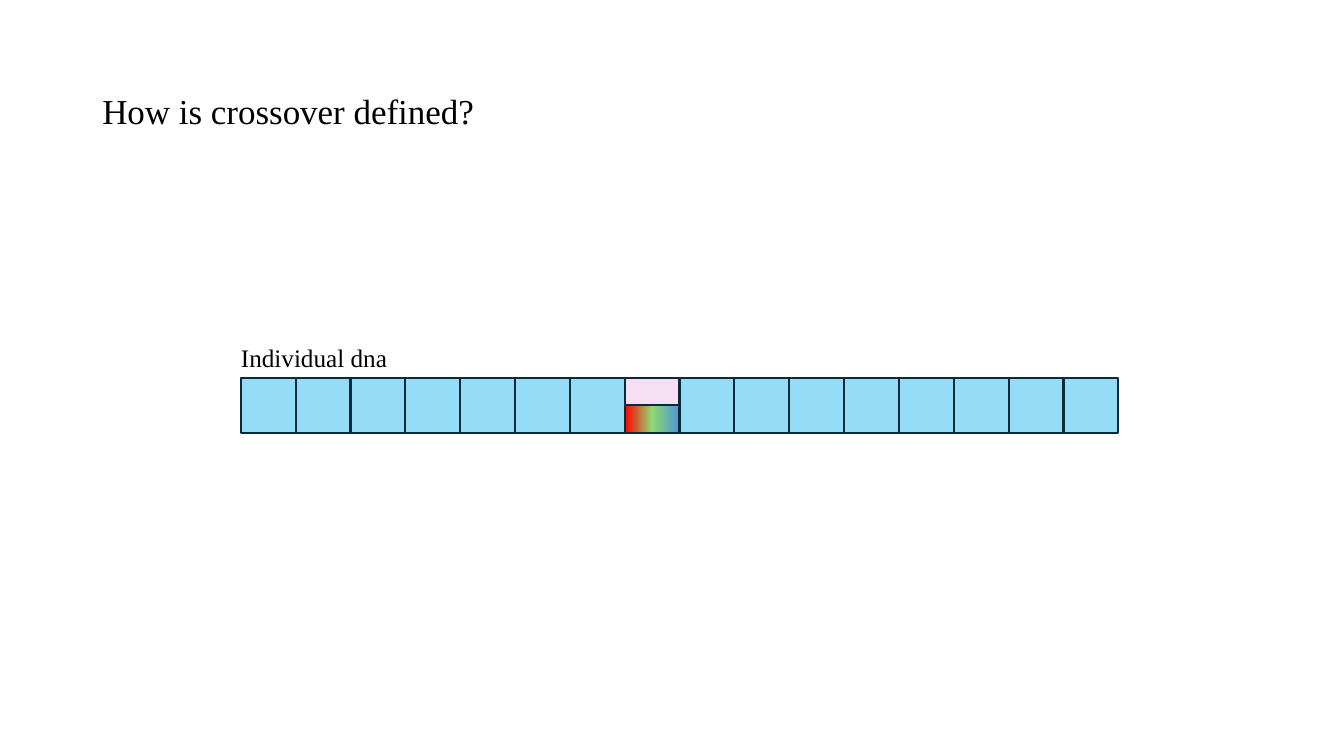
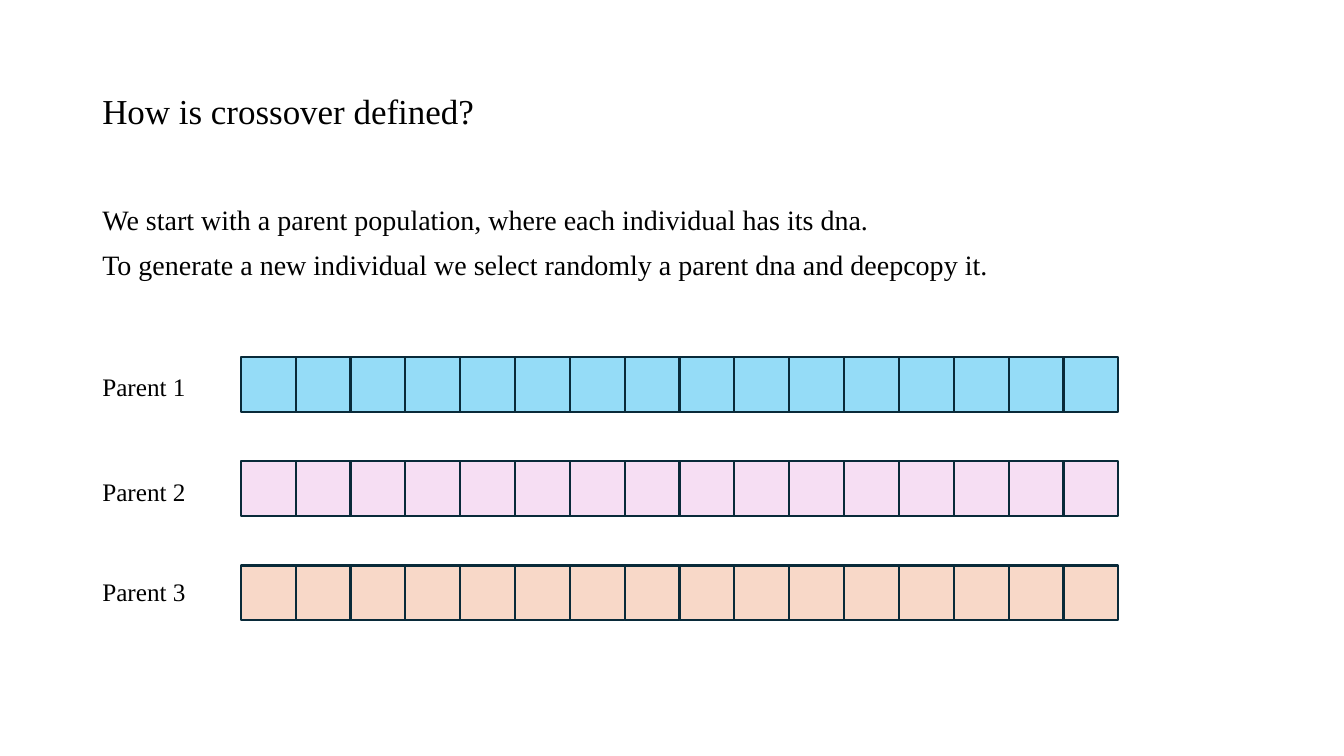
from copy import deepcopy

from lxml.etree import SubElement
from pptx import Presentation
from pptx.dml.color import RGBColor
from pptx.enum.shapes import MSO_SHAPE
from pptx.enum.text import MSO_ANCHOR
from pptx.oxml.ns import qn
from pptx.util import Pt

# Content
TITLE = "How is crossover defined?"
DNA_LABEL = "Individual dna"
BODY = [
    "We start with a parent population, where each individual has its dna.",
    "To generate a new individual we select randomly a parent dna and deepcopy it.",
]
PARENTS = [  # label, label top, gene colour
    ("Parent 1", 262, "blue"),
    ("Parent 2", 337, "pink"),
    ("Parent 3", 408.25, "orange"),
]

# Shared style, lengths in points
COLORS = {
    "text": "000000", "outline": "092A39",
    "blue": "61CBF4", "pink": "F2CFEE", "orange": "F6C6AD",
    "red": "FF0000", "green": "8ED973", "deep blue": "4E95D9",
}
FONT = "Times New Roman"
MARGIN, CONTENT_WIDTH = 66, 828
GENE_COUNT, GENE_SIZE, STRAND_LEFT = 16, 39.18, 172
SPLIT_GENE = 7
DNA_TOP = 270
PARENT_TOP, PARENT_PITCH = 255, 74.5
GENE_ALPHA = 67


def rgb(name):
    return RGBColor.from_string(COLORS[name])


def add_text(slide, lines, left, top, width, height, size,
             anchor=MSO_ANCHOR.TOP, line_spacing=1.0, gap=0):
    text_box = slide.shapes.add_textbox(Pt(left), Pt(top), Pt(width), Pt(height))
    frame = text_box.text_frame
    frame.word_wrap = True
    frame.vertical_anchor = anchor
    for index, line in enumerate(lines):
        paragraph = frame.add_paragraph() if index else frame.paragraphs[0]
        paragraph.line_spacing = line_spacing
        paragraph.space_before = Pt(gap if index else 0)
        run = paragraph.add_run()
        run.text = line
        run.font.name = FONT
        run.font.size = Pt(size)
        run.font.color.rgb = rgb("text")


def add_label(slide, text, left, top, width):
    add_text(slide, [text], left, top, width, 29, 18)


def add_titled_slide(presentation):
    slide = presentation.slides.add_slide(presentation.slide_layouts[6])
    add_text(slide, [TITLE], MARGIN, 28.75, CONTENT_WIDTH, 104.5, 25,
             MSO_ANCHOR.MIDDLE, 0.9)
    return slide


def fill_translucent(shape, color):
    shape.fill.solid()
    shape.fill.fore_color.rgb = rgb(color)
    color_element = shape.fill._xPr.find(qn("a:solidFill")).find(qn("a:srgbClr"))
    SubElement(color_element, qn("a:alpha"), val=str(GENE_ALPHA * 1000))


def fill_gradient(shape, colors):
    shape.fill.gradient()
    shape.fill.gradient_angle = 0
    stop_list = shape.fill._xPr.find(qn("a:gradFill")).find(qn("a:gsLst"))
    while len(stop_list) < len(colors):
        stop_list.append(deepcopy(stop_list[0]))
    for index, (stop, color) in enumerate(zip(shape.fill.gradient_stops, colors)):
        stop.position = index / (len(colors) - 1)
        stop.color.rgb = rgb(color)


def add_gene(slide, index, top, colors, height=GENE_SIZE):
    left = STRAND_LEFT + index * GENE_SIZE
    gene = slide.shapes.add_shape(
        MSO_SHAPE.RECTANGLE, Pt(left), Pt(top), Pt(GENE_SIZE), Pt(height))
    gene.shadow.inherit = False
    gene.line.color.rgb = rgb("outline")
    gene.line.width = Pt(1.5)
    if len(colors) == 1:
        fill_translucent(gene, colors[0])
    else:
        fill_gradient(gene, colors)


def add_strand(slide, top, color, skipped=None):
    for index in range(GENE_COUNT):
        if index != skipped:
            add_gene(slide, index, top, [color])


def build_dna_slide(presentation):
    slide = add_titled_slide(presentation)
    add_strand(slide, DNA_TOP, "blue", SPLIT_GENE)
    # One gene is split into two halves
    half = GENE_SIZE / 2
    add_gene(slide, SPLIT_GENE, DNA_TOP, ["pink"], half)
    add_gene(slide, SPLIT_GENE, DNA_TOP + half, ["red", "green", "deep blue"], half)
    add_label(slide, DNA_LABEL, 165, 241.25, 124.5)


def build_parents_slide(presentation):
    slide = add_titled_slide(presentation)
    add_text(slide, BODY, MARGIN, 144, CONTENT_WIDTH, 65, 20,
             line_spacing=0.9, gap=10)
    for row, (label, label_top, color) in enumerate(PARENTS):
        add_strand(slide, PARENT_TOP + row * PARENT_PITCH, color)
        add_label(slide, label, MARGIN, label_top, 78.5)


def main():
    presentation = Presentation()
    presentation.slide_width, presentation.slide_height = Pt(960), Pt(540)
    build_dna_slide(presentation)
    build_parents_slide(presentation)
    presentation.save("out.pptx")


if __name__ == "__main__":
    main()
